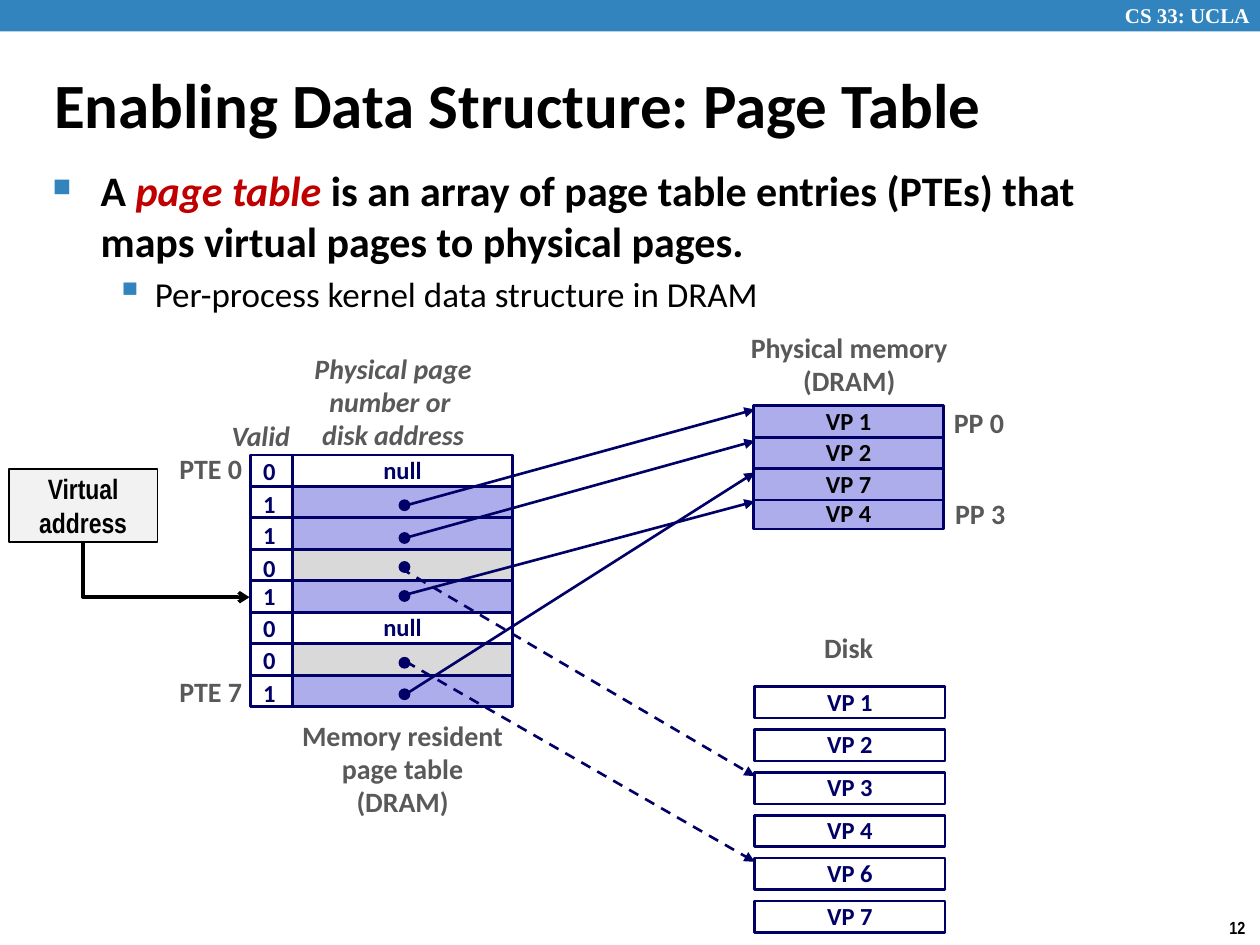
from lxml import etree
from pptx import Presentation
from pptx.dml.color import RGBColor
from pptx.enum.dml import MSO_LINE
from pptx.enum.shapes import MSO_CONNECTOR, MSO_SHAPE
from pptx.enum.text import MSO_ANCHOR, PP_ALIGN
from pptx.oxml.ns import qn
from pptx.util import Inches, Pt

# Content
TITLE = "Enabling Data Structure: Page Table"
BULLETS = [  # runs (text, colour, italic), size, bold, left margin, hang, bullet, bullet size
    ([("A ", "000000", False), ("page table ", "C00000", True),
      ("is an array of page table entries (PTEs) that maps virtual pages to physical pages.",
       "000000", False)], 24, True, 0.38, 0.38, "■", 60),
    ([("Per-process kernel data structure in DRAM", "000000", False)],
     20, False, 0.81, 0.31, "▪", 110),
]
PAGE_TABLE = [  # valid bit, top of the bit, entry, fill
    ("0", 3.58, "null", "FFFFFF"),
    ("1", 3.84, "", "ADADEB"),
    ("1", 4.09, "", "ADADEB"),
    ("0", 4.35, "", "D9D9D9"),
    ("1", 4.57, "", "ADADEB"),
    ("0", 4.83, "null", "FFFFFF"),
    ("0", 5.08, "", "D9D9D9"),
    ("1", 5.34, "", "ADADEB"),
]
MEMORY_PAGES = {"VP 1": 3.22, "VP 2": 3.47, "VP 7": 3.72, "VP 4": 3.95}
DISK_PAGES = ["VP 1", "VP 2", "VP 3", "VP 4", "VP 6", "VP 7"]
POINTERS = [  # top of the dot, start of the arrow, target page, on disk
    (3.97, (3.19, 4.02), "VP 1", False),
    (4.23, (3.25, 4.26), "VP 2", False),
    (4.46, (3.18, 4.51), "VP 3", True),
    (4.69, (3.22, 4.72), "VP 4", False),
    (5.22, (3.22, 5.25), "VP 6", True),
    (5.47, (3.22, 5.51), "VP 7", False),
]
LABELS = [  # lines, box, alignment, italic
    (["Memory resident", "page table", "(DRAM)"], (2.27, 5.66, 1.85, 0.89), "center", False),
    (["Physical memory", "(DRAM)"], (5.85, 2.58, 1.78, 0.63), "center", False),
    (["Physical page", "number or ", "disk address"], (2.39, 2.75, 1.46, 0.89), "center", True),
    (["Valid"], (1.74, 3.28, 0.75, 0.37), "left", True),
    (["PTE 0"], (1.32, 3.54, 0.7, 0.37), "right", False),
    (["PTE 7"], (1.32, 5.31, 0.7, 0.37), "right", False),
    (["PP 0"], (7.47, 3.18, 0.6, 0.37), "center", False),
    (["PP 3"], (7.48, 3.9, 0.6, 0.37), "center", False),
    (["Disk"], (6.44, 4.96, 0.59, 0.37), "center", False),
]

# Layout
ROW_HEIGHT = 0.25
TABLE_TOP = 3.61
VALID_LEFT, VALID_WIDTH = 1.99, 0.33
ENTRY_LEFT, ENTRY_WIDTH = 2.32, 1.75
PAGE_WIDTH = 1.51
MEMORY_LEFT, DISK_LEFT = 5.98, 5.99
DISK_TOP, DISK_STEP = 5.45, 0.34
ARROW_DROP = 0.03
NAVY, GRAY, BLUE = "000066", "595959", "3284BF"
ALIGNMENTS = {"left": PP_ALIGN.LEFT, "center": PP_ALIGN.CENTER, "right": PP_ALIGN.RIGHT}

presentation = Presentation()
presentation.slide_width, presentation.slide_height = Inches(10), Inches(7.5)
slide = presentation.slides.add_slide(presentation.slide_layouts[5])


def rgb(color):
    return RGBColor.from_string(color)


def write_text(shape, lines, size=14, font="Calibri", color=NAVY, bold=True, italic=False,
               align="left", anchor=MSO_ANCHOR.MIDDLE, wrap=False, spacing=None):
    """Each line is a string or a list of (text, colour, italic) runs."""
    frame = shape.text_frame
    frame.word_wrap, frame.vertical_anchor = wrap, anchor
    for index, line in enumerate(lines):
        paragraph = frame.add_paragraph() if index else frame.paragraphs[0]
        paragraph.alignment, paragraph.line_spacing = ALIGNMENTS[align], spacing
        runs = [(line, color, italic)] if isinstance(line, str) else line
        for text, run_color, run_italic in runs:
            run = paragraph.add_run()
            run.text = text
            run.font.name, run.font.size = font, Pt(size)
            run.font.bold, run.font.italic = bold, run_italic
            run.font.color.rgb = rgb(run_color)
    return paragraph


def add_box(box, fill=None, line=NAVY, width=1.5, kind=MSO_SHAPE.RECTANGLE):
    shape = slide.shapes.add_shape(kind, *map(Inches, box))
    shape.shadow.inherit = False
    if fill:
        shape.fill.solid()
        shape.fill.fore_color.rgb = rgb(fill)
    else:
        shape.fill.background()
    if line:
        shape.line.color.rgb, shape.line.width = rgb(line), Pt(width)
    else:
        shape.line.fill.background()
    return shape


def add_text(box, lines, **text_format):
    shape = slide.shapes.add_textbox(*map(Inches, box))
    write_text(shape, lines, **text_format)


def add_page(left, top, name, fill, color):
    page = add_box((left, top, PAGE_WIDTH, ROW_HEIGHT), fill)
    write_text(page, [name], color=color, align="center", spacing=0.98)


def add_arrow(start, end, color=NAVY, width=1.5, head="triangle", kind=MSO_CONNECTOR.STRAIGHT):
    arrow = slide.shapes.add_connector(kind, *map(Inches, start + end))
    arrow.line.color.rgb, arrow.line.width = rgb(color), Pt(width)
    etree.SubElement(arrow.line._get_or_add_ln(), qn("a:tailEnd"), type=head)
    etree.SubElement(arrow._element.spPr, qn("a:effectLst"))
    return arrow


def set_indent(paragraph, margin, hang):
    properties = paragraph._p.get_or_add_pPr()
    properties.set("marL", str(Inches(margin)))
    properties.set("indent", str(-Inches(hang)))
    return properties


# Header band and slide number
add_box((0, 0, 10, 0.25), BLUE, line=None)
add_text((8.83, -0.03, 1.24, 0.3), ["CS 33: UCLA"], size=12, font="Times New Roman",
         color="FFFFFF", anchor=MSO_ANCHOR.TOP, wrap=True)
add_text((9.66, 7.23, 0.34, 0.27), ["12"], size=10, font="Arial Narrow",
         color="000000", anchor=MSO_ANCHOR.TOP)

# Title
title = slide.shapes.title
title.left, title.top, title.width, title.height = map(Inches, (0.33, 0.39, 9.06, 0.86))
set_indent(write_text(title, [TITLE], size=36, color="000000", wrap=True), 0.13, 0.13)

# Bullets
body = slide.shapes.add_textbox(*map(Inches, (0.32, 1.26, 9.09, 1.41)))
for index, (runs, size, bold, margin, hang, bullet, percent) in enumerate(BULLETS):
    if index:
        body.text_frame.add_paragraph()
    paragraph = body.text_frame.paragraphs[index]
    properties = set_indent(paragraph, margin, hang)
    bullet_color = etree.SubElement(properties, qn("a:buClr"))
    etree.SubElement(bullet_color, qn("a:srgbClr"), val=BLUE)
    etree.SubElement(properties, qn("a:buSzPct"), val=str(percent * 1000))
    etree.SubElement(properties, qn("a:buChar"), char=bullet)
    paragraph.level = index
    if index:
        paragraph.space_before = Pt(size * 0.2)
    for text, color, italic in runs:
        run = paragraph.add_run()
        run.text = text
        run.font.name, run.font.size = "Calibri", Pt(size)
        run.font.bold, run.font.italic = bold, italic
        run.font.color.rgb = rgb(color)
body.text_frame.word_wrap = True

# Page table
for row, (valid, valid_top, entry, fill) in enumerate(PAGE_TABLE):
    top = TABLE_TOP + row * ROW_HEIGHT
    cell = add_box((ENTRY_LEFT, top, ENTRY_WIDTH, ROW_HEIGHT), fill)
    if entry:
        write_text(cell, [entry], align="center", spacing=0.98)
    add_box((VALID_LEFT, top, VALID_WIDTH, ROW_HEIGHT))
    add_text((VALID_LEFT, valid_top, 0.31, 0.33), [valid], anchor=MSO_ANCHOR.TOP, spacing=0.98)

# Physical memory, bottom page first, and disk
for name, top in reversed(MEMORY_PAGES.items()):
    add_page(MEMORY_LEFT, top, name, "ADADEB", "000000")
disk_tops = {name: DISK_TOP + index * DISK_STEP for index, name in enumerate(DISK_PAGES)}
for name, top in disk_tops.items():
    add_page(DISK_LEFT, top, name, "FFFFFF", NAVY)

# Pointers from the table to the pages
for dot_top, start, target, on_disk in POINTERS:
    add_box((3.17, dot_top, 0.08, 0.08), NAVY, width=1, kind=MSO_SHAPE.OVAL)
    tops = disk_tops if on_disk else MEMORY_PAGES
    arrow = add_arrow(start, (DISK_LEFT, tops[target] + ARROW_DROP))
    if on_disk:
        arrow.line.dash_style = MSO_LINE.DASH

# Labels
for lines, box, align, italic in LABELS:
    add_text(box, lines, size=16, color=GRAY, italic=italic, align=align, spacing=0.98)

# Virtual address and its elbow arrow, which runs down and then right
address = add_box((0.07, 3.72, 1.18, 0.58), "F2F2F2", line="000000", width=1)
write_text(address, ["Virtual address"], size=16, font="Arial Narrow", color="000000",
           align="center", wrap=True)
elbow = add_arrow((1.54, 3.86), (1.1, 5.18), color="000000", width=2, head="arrow",
                  kind=MSO_CONNECTOR.ELBOW)
elbow._element.spPr.find(qn("a:prstGeom")).set("prst", "bentConnector2")
elbow._element.spPr.find(qn("a:xfrm")).set("rot", str(270 * 60000))

presentation.save("out.pptx")
